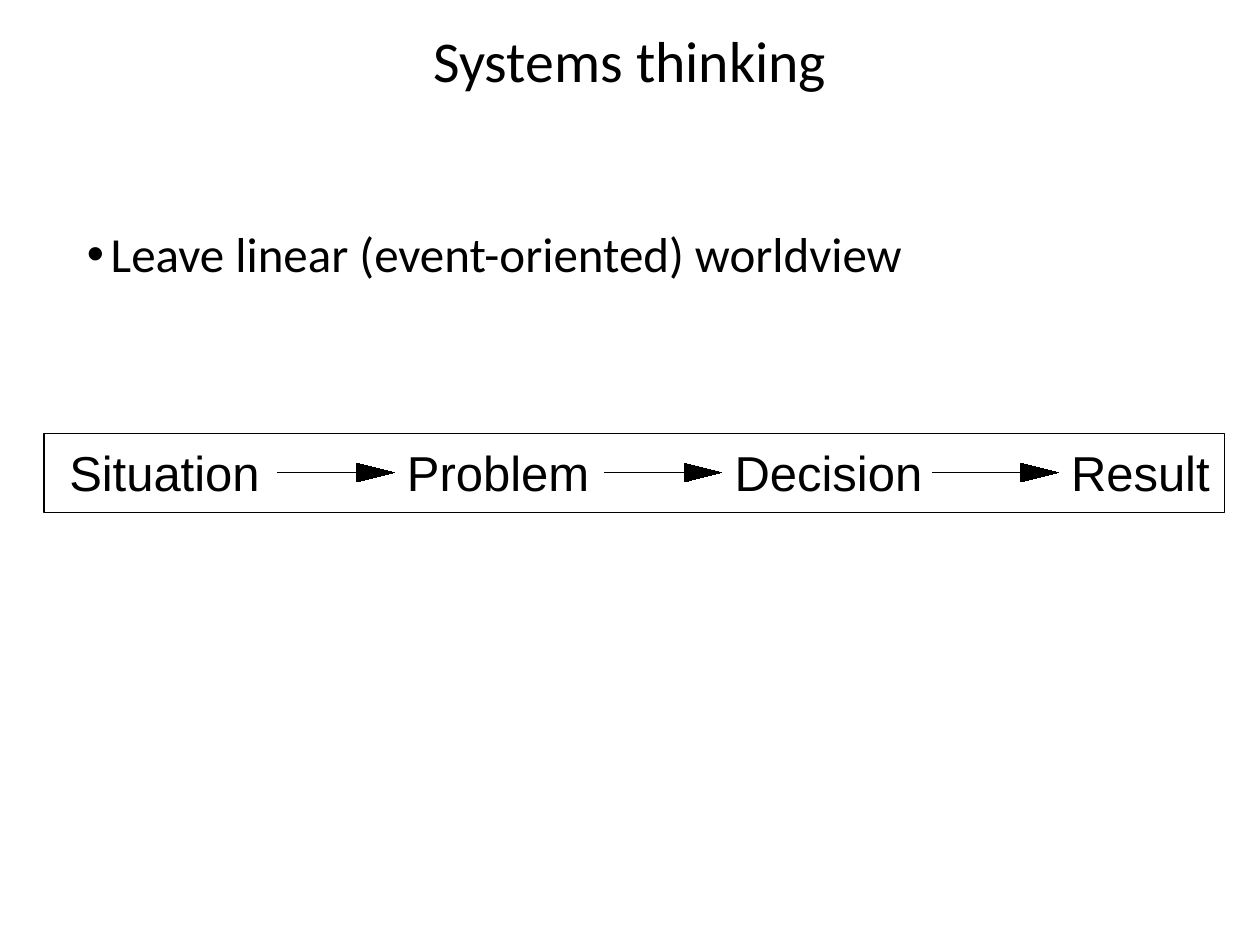
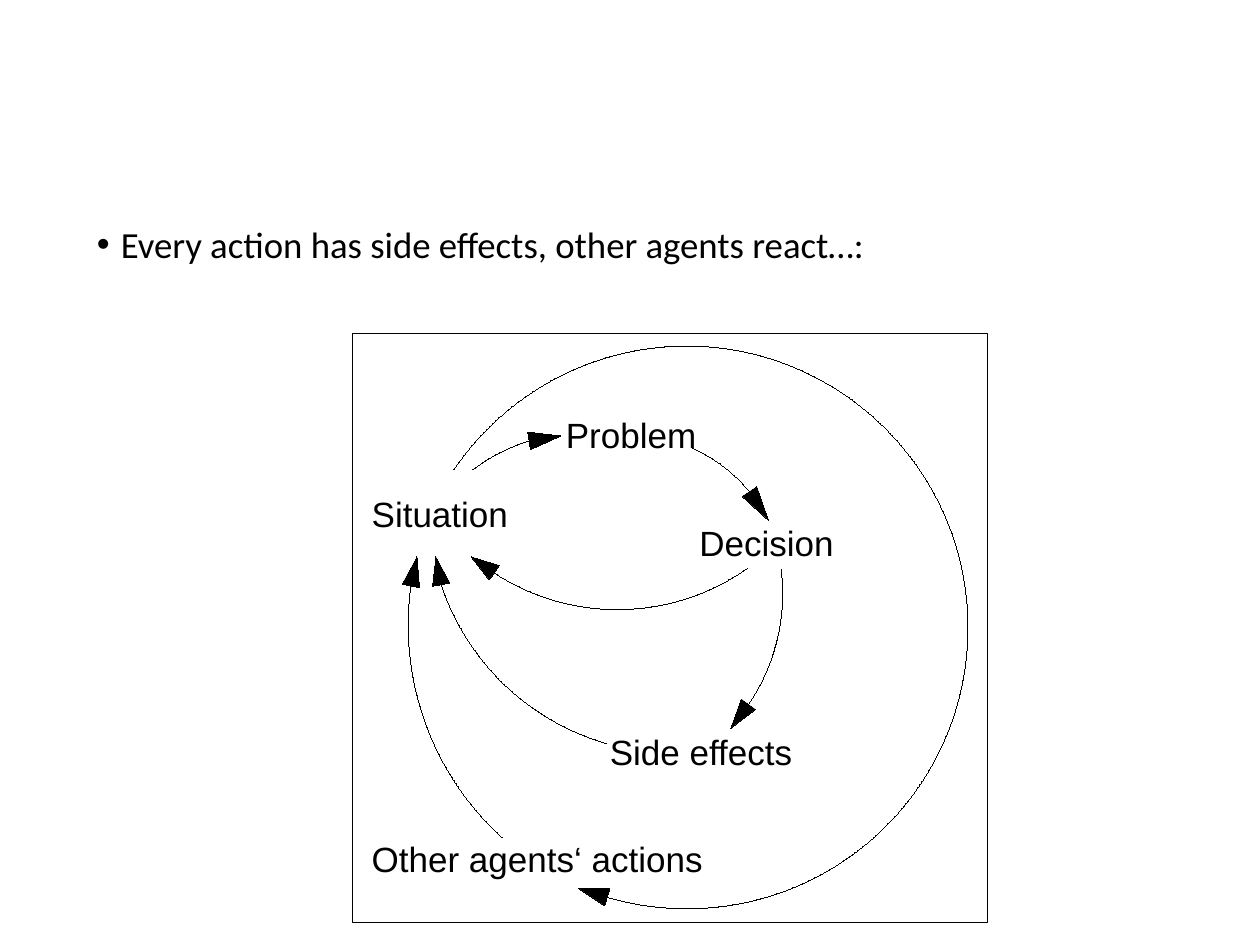
import math
from dataclasses import dataclass

import pptx
import pptx.dml.color
import pptx.enum.shapes
import pptx.enum.text
import pptx.oxml.ns
import pptx.util
from lxml import etree

Inches = pptx.util.Inches
Pt = pptx.util.Pt
qn = pptx.oxml.ns.qn


@dataclass(frozen=True)
class Theme:
    ink: pptx.dml.color.RGBColor = pptx.dml.color.RGBColor(0, 0, 0)
    text_font: str = "Calibri"
    chart_font: str = "Arial"
    title: int = 33
    large: int = 28
    body: int = 21
    label: int = 20
    frame: float = 0.75
    hair: float = 0.01
    spacing: float = 0.9


THEME = Theme()


def add_text(slide, box, text, size, font, inset=True):
    shape = slide.shapes.add_textbox(*map(Inches, box))
    frame = shape.text_frame
    frame.word_wrap = True
    if not inset:
        frame.margin_left = frame.margin_right = 0
        frame.margin_top = frame.margin_bottom = 0
    para = frame.paragraphs[0]
    para.text = text
    para.font.size = Pt(size)
    para.font.name = font
    para.font.color.rgb = THEME.ink
    return para


def add_title(slide, text):
    para = add_text(slide, (0, 0.21, 10, 0.92), text, THEME.title, THEME.text_font)
    para.alignment = pptx.enum.text.PP_ALIGN.CENTER
    para.line_spacing = THEME.spacing


def add_bullet(slide, left, top, text, size):
    para = add_text(slide, (left, top, 8.92, 4.92), text, size, THEME.text_font)
    para.line_spacing = THEME.spacing
    props = para._p.get_or_add_pPr()
    props.set("marL", str(Inches(0.19)))
    props.set("indent", str(-Inches(0.19)))
    face = etree.Element(qn("a:buFont"), typeface=THEME.chart_font)
    props.find(qn("a:lnSpc")).addnext(face)
    face.addnext(etree.Element(qn("a:buChar"), char="•"))


def add_label(slide, box, text, size):
    add_text(slide, box, text, size, THEME.chart_font, inset=False)


def set_line(shape, width):
    shape.line.color.rgb = THEME.ink
    shape.line.width = Pt(width)


def add_frame(slide, box):
    rect = pptx.enum.shapes.MSO_SHAPE.RECTANGLE
    shape = slide.shapes.add_shape(rect, *map(Inches, box))
    shape.shadow.inherit = False
    shape.fill.background()
    set_line(shape, THEME.frame)


def add_path(slide, points, closed):
    """Draw a hairline path, filled when closed."""
    start, *rest = [(Inches(x), Inches(y)) for x, y in points]
    pen = slide.shapes.build_freeform(*start)
    pen.add_line_segments(rest, close=closed)
    shape = pen.convert_to_shape()
    shape.shadow.inherit = False
    if closed:
        shape.fill.solid()
        shape.fill.fore_color.rgb = THEME.ink
    else:
        shape.fill.background()
    set_line(shape, THEME.hair)
    return shape


def bend(shape):
    """Turn each three line segments into one cubic curve."""
    lines = list(shape._element.iter(qn("a:lnTo")))
    for i in range(0, len(lines), 3):
        cubic = etree.Element(qn("a:cubicBezTo"))
        lines[i].addprevious(cubic)
        for line in lines[i:i + 3]:
            cubic.append(line[0])
            line.getparent().remove(line)


def add_head(slide, base, tip, width):
    """Draw a solid arrowhead from the middle of its base to its tip."""
    dx, dy = tip[0] - base[0], tip[1] - base[1]
    half = width / 2 / math.hypot(dx, dy)
    side = (-dy * half, dx * half)
    left = (base[0] + side[0], base[1] + side[1])
    right = (base[0] - side[0], base[1] - side[1])
    add_path(slide, [tip, left, right], True)


def add_arrow(slide, start, tip, y):
    line = slide.shapes.add_connector(
        pptx.enum.shapes.MSO_CONNECTOR.STRAIGHT,
        *map(Inches, (start, y, start + 0.74, y)))
    set_line(line, THEME.hair)
    etree.SubElement(line._element.spPr, qn("a:effectLst"))
    add_head(slide, (tip - 0.3, y), (tip, y), 0.15)


def add_curve(slide, hub, start, end, tip):
    """Draw a clockwise arc around hub, then an arrowhead up to tip."""
    radius = math.dist(hub, start)
    first = math.atan2(start[1] - hub[1], start[0] - hub[0])
    last = math.atan2(end[1] - hub[1], end[0] - hub[0])
    last = first + (last - first) % math.tau
    quarter = math.pi / 2
    turns = range(math.floor(first / quarter) + 1, math.ceil(last / quarter))
    angles = [first, *(turn * quarter for turn in turns), last]

    def spot(angle, pull=0):
        cos, sin = math.cos(angle), math.sin(angle)
        return (hub[0] + radius * (cos - pull * sin),
                hub[1] + radius * (sin + pull * cos))

    points = [spot(first)]
    for a, b in zip(angles, angles[1:]):
        pull = 4 / 3 * math.tan((b - a) / 4)
        points += [spot(a, pull), spot(b, -pull), spot(b)]
    bend(add_path(slide, points, False))
    add_head(slide, points[-1], tip, 0.14)


def add_chain(slide):
    add_title(slide, "Systems thinking")
    add_bullet(slide, 0.59, 1.78, "Leave linear (event-oriented) worldview",
               THEME.large)
    add_frame(slide, (0.35, 3.44, 9.37, 0.63))
    stages = [("Situation", 0.55, 1.53), ("Problem", 3.23, 1.47),
              ("Decision", 5.83, 1.51), ("Result", 8.5, 1.12)]
    for text, left, width in stages:
        add_label(slide, (left, 3.51, width, 0.47), text, THEME.large)
    for start, (_, left, _) in zip((2.2, 4.8, 7.4), stages[1:]):
        add_arrow(slide, start, left - 0.1, 3.75)


def add_loops(slide):
    add_bullet(slide, 0.67, 1.75,
               "Every action has side effects, other agents react…:", THEME.body)
    add_frame(slide, (2.8, 2.65, 5.04, 4.67))
    labels = [
        ("Problem", (4.49, 3.28, 1.31, 0.46)),
        ("Decision", (5.55, 4.14, 1.44, 0.31)),
        ("Situation", (2.95, 3.91, 1.44, 0.41)),
        ("Side effects", (4.84, 5.8, 1.96, 0.5)),
        ("Other agents‘ actions", (2.95, 6.65, 3.15, 0.31)),
    ]
    for text, box in labels:
        add_label(slide, box, text, THEME.label)
    # Each curve: hub, start, end of arc, arrow tip
    curves = [
        ((4.62, 4.87), (3.75, 3.73), (4.2, 3.5), (4.45, 3.46)),
        ((5.01, 4.67), (5.5, 3.56), (5.95, 3.9), (6.1, 4.13)),
        ((4.9, 3.06), (5.93, 4.51), (3.92, 4.55), (3.74, 4.42)),
        ((4.65, 4.71), (6.2, 4.52), (5.94, 5.59), (5.8, 5.78)),
        ((5.36, 4.02), (4.81, 5.9), (3.5, 4.64), (3.46, 4.42)),
        ((5.52, 4.96), (3.99, 6.65), (3.26, 4.65), (3.31, 4.42)),
        ((5.45, 4.98), (3.6, 3.73), (4.82, 7.12), (4.59, 7.05)),
    ]
    for curve in curves:
        add_curve(slide, *curve)


def main():
    deck = pptx.Presentation()
    deck.slide_width = Inches(10)
    deck.slide_height = Inches(7.5)
    for fill in (add_chain, add_loops):
        fill(deck.slides.add_slide(deck.slide_layouts[6]))
    deck.save("out.pptx")


if __name__ == "__main__":
    main()
